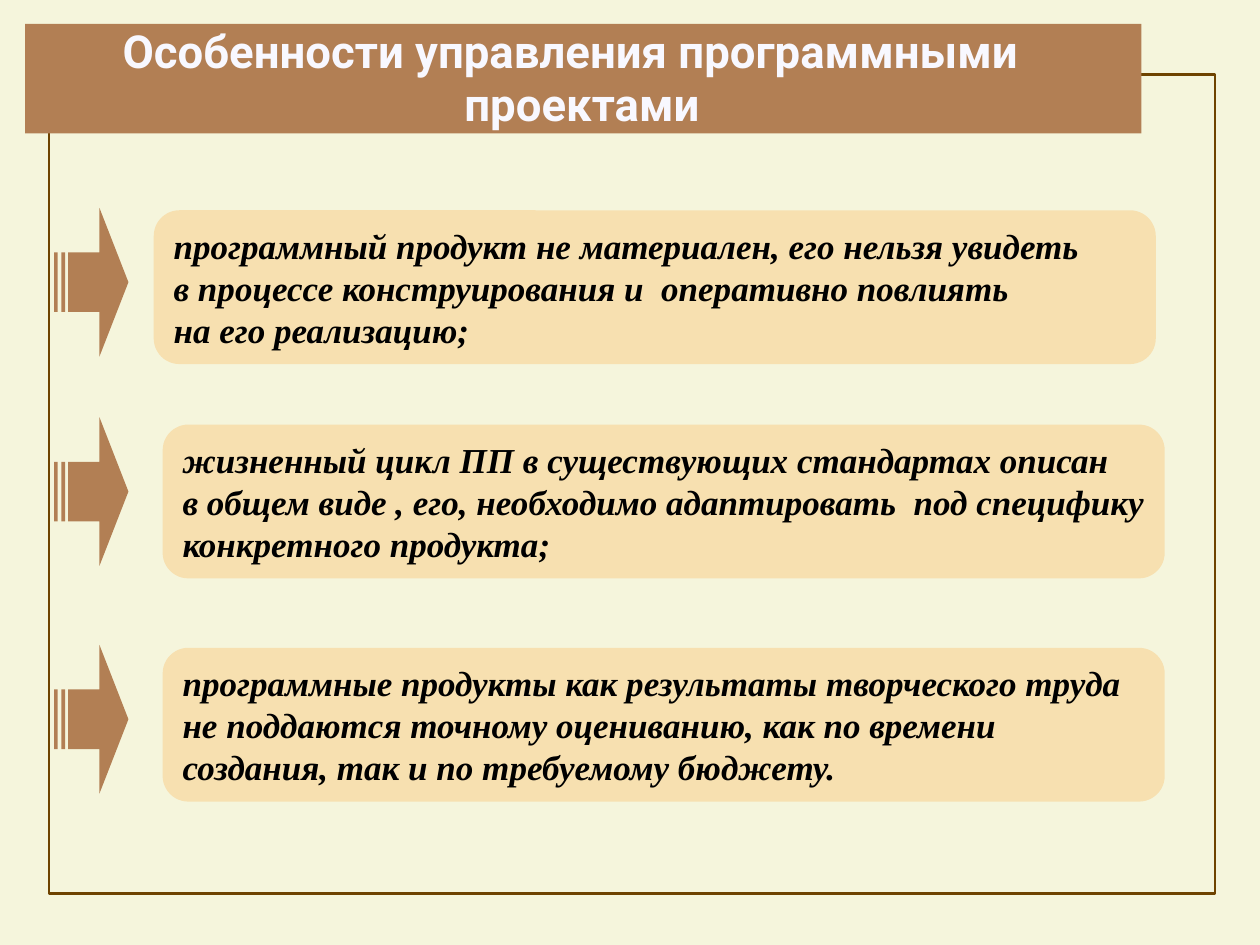
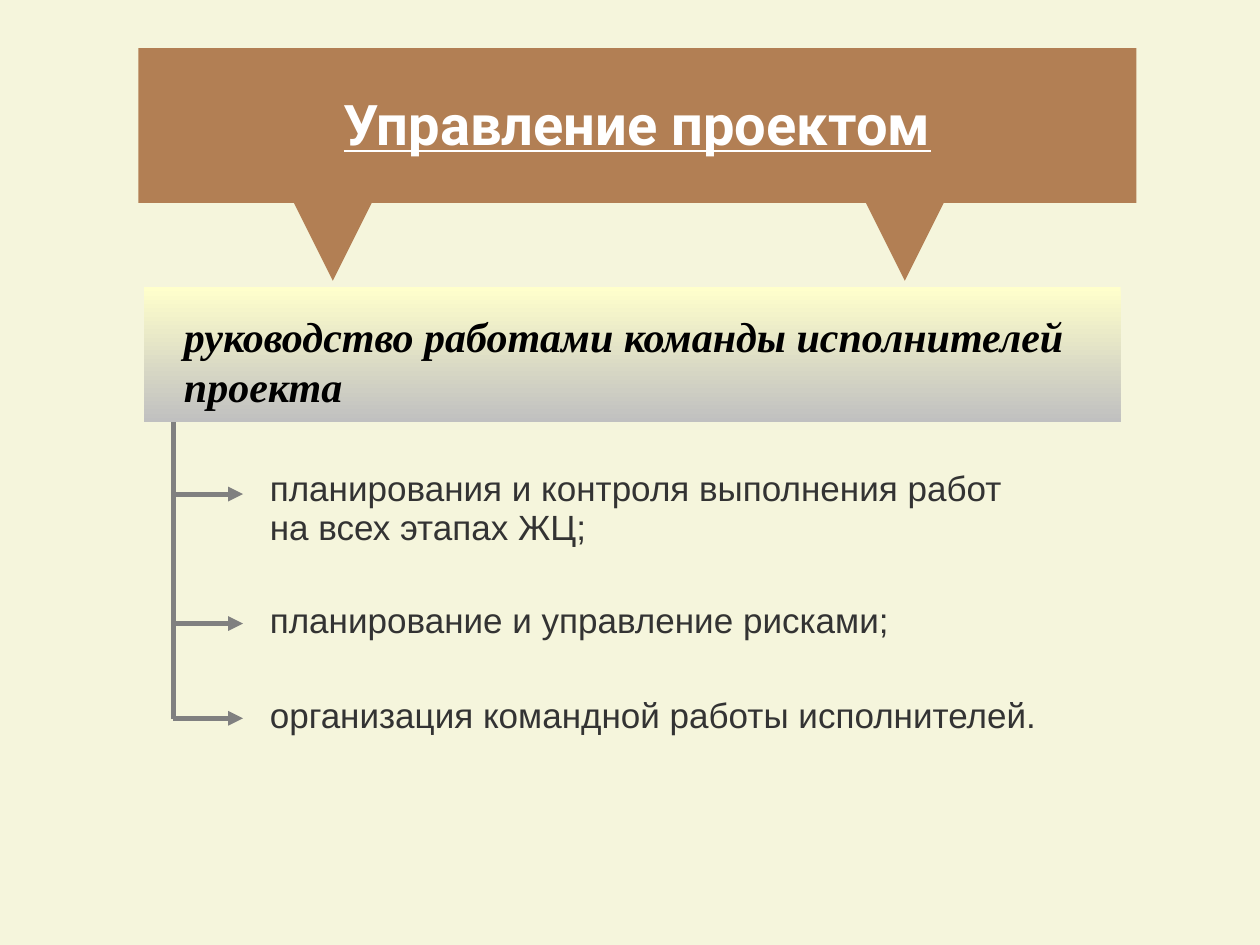
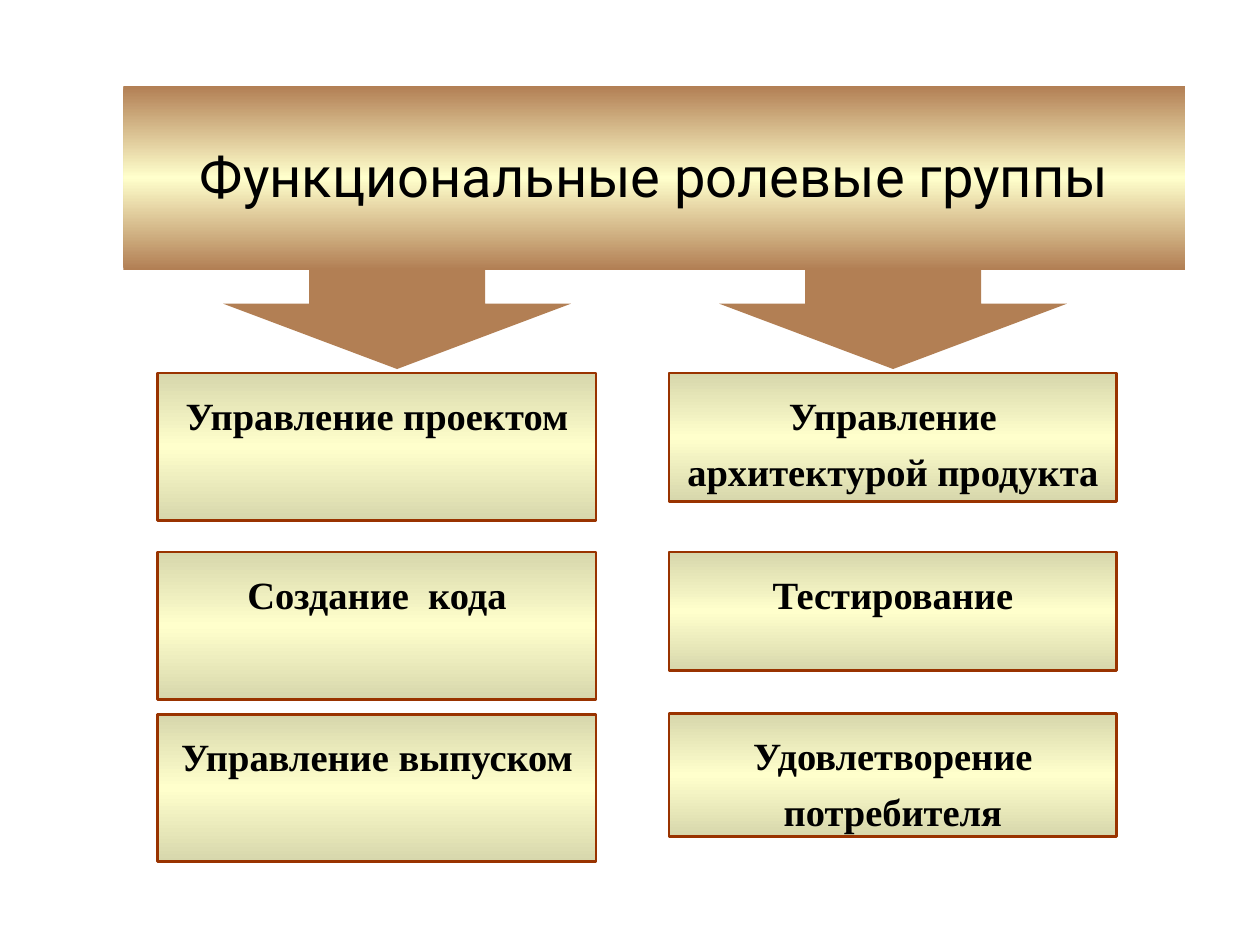
from dataclasses import dataclass

import pptx
import pptx.dml.color
import pptx.enum.shapes
import pptx.enum.text
import pptx.oxml
import pptx.oxml.ns
import pptx.util
from pptx.util import Cm

PRESET = pptx.enum.shapes.MSO_SHAPE
ALIGN = pptx.enum.text.PP_ALIGN
ANCHOR = pptx.enum.text.MSO_ANCHOR


@dataclass(frozen=True)
class Theme:
    beige: str = "F5F5DC"
    white: str = "FFFFFF"
    ghost: str = "F8F8FF"
    black: str = "000000"
    dark: str = "333333"
    gray: str = "808080"
    silver: str = "C0C0C0"
    brown: str = "B27F54"
    frame: str = "6E4300"
    sand: str = "F7E0B0"
    cream: str = "FFFFCC"
    olive: str = "D7D7AC"
    rust: str = "993300"
    heading_font: str = "Roboto"
    serif_font: str = "Times New Roman"
    body_font: str = "Arial"
    title_size: int = 32
    long_title_size: int = 26
    lead_size: int = 24
    role_size: int = 22
    body_size: int = 20


THEME = Theme()


@dataclass(frozen=True)
class Box:
    """A rectangle in centimetres."""
    left: float
    top: float
    width: float
    height: float

    @property
    def right(self):
        return self.left + self.width

    @property
    def bottom(self):
        return self.top + self.height

    def lengths(self):
        return Cm(self.left), Cm(self.top), Cm(self.width), Cm(self.height)


@dataclass(frozen=True)
class Style:
    """Character and paragraph look of one kind of text."""
    font: str
    size: int
    color: str
    bold: bool = False
    italic: bool = False
    underline: bool = False
    align: ALIGN = ALIGN.LEFT
    spacing: float = 1.0
    gap: float = 0


TITLE = Style(THEME.heading_font, THEME.title_size, THEME.white, bold=True,
              underline=True, align=ALIGN.CENTER, spacing=0.97)
LONG_TITLE = Style(THEME.heading_font, THEME.long_title_size, THEME.ghost,
                   bold=True, align=ALIGN.CENTER, spacing=0.97)
PLAIN_TITLE = Style(THEME.heading_font, THEME.title_size, THEME.black,
                    align=ALIGN.CENTER, spacing=0.97)
FEATURE = Style(THEME.serif_font, THEME.body_size, THEME.black, bold=True, italic=True)
LEAD = Style(THEME.serif_font, THEME.lead_size, THEME.black, bold=True,
             italic=True, spacing=0.93, gap=2)
TASK = Style(THEME.body_font, THEME.body_size, THEME.dark, spacing=0.93)
ROLE = Style(THEME.serif_font, THEME.role_size, THEME.black, bold=True,
             align=ALIGN.CENTER, spacing=1.2)


def rgb(color):
    return pptx.dml.color.RGBColor.from_string(color)


def set_gradient(shape, colors):
    """Fill from top to bottom with evenly spaced colours."""
    shape.fill.gradient()
    shape.fill.gradient_angle = 270
    stops = shape._element.spPr.find(".//" + pptx.oxml.ns.qn("a:gsLst"))
    for stop in list(stops):
        stops.remove(stop)
    for index, color in enumerate(colors):
        position = round(100000 * index / (len(colors) - 1))
        stops.append(pptx.oxml.parse_xml(
            f'<a:gs {pptx.oxml.ns.nsdecls("a")} pos="{position}">'
            f'<a:srgbClr val="{color}"/></a:gs>'))


def paint(shape, fill=None, line=None, line_width=1.5):
    """Set fill (none, one colour or a tuple for a gradient) and outline."""
    shape.shadow.inherit = False
    if fill is None:
        shape.fill.background()
    elif isinstance(fill, tuple):
        set_gradient(shape, fill)
    else:
        shape.fill.solid()
        shape.fill.fore_color.rgb = rgb(fill)
    if line is None:
        shape.line.fill.background()
    else:
        shape.line.color.rgb = rgb(line)
        shape.line.width = pptx.util.Pt(line_width)


def add_block(slide, preset, box, **look):
    shape = slide.shapes.add_shape(preset, *box.lengths())
    paint(shape, **look)
    return shape


def write(shape, lines, style, insets=(0, 0, 0, 0), anchor=ANCHOR.MIDDLE):
    """Write one paragraph per line; insets are left, top, right, bottom in cm."""
    frame = shape.text_frame
    frame.word_wrap = True
    frame.auto_size = pptx.enum.text.MSO_AUTO_SIZE.NONE
    frame.vertical_anchor = anchor
    (frame.margin_left, frame.margin_top,
     frame.margin_right, frame.margin_bottom) = map(Cm, insets)
    for index, line in enumerate(lines):
        paragraph = frame.add_paragraph() if index else frame.paragraphs[0]
        paragraph.alignment = style.align
        paragraph.line_spacing = style.spacing
        if index and style.gap:
            paragraph.space_before = pptx.util.Pt(style.gap)
        run = paragraph.add_run()
        run.text = line
        font = run.font
        font.name = style.font
        font.size = pptx.util.Pt(style.size)
        font.color.rgb = rgb(style.color)
        font.bold = style.bold
        font.italic = style.italic
        font.underline = style.underline


def add_line(slide, start, end, color, width, arrow=False):
    connector = slide.shapes.add_connector(
        pptx.enum.shapes.MSO_CONNECTOR.STRAIGHT, *map(Cm, start + end))
    connector.line.color.rgb = rgb(color)
    connector.line.width = pptx.util.Pt(width)
    namespace = pptx.oxml.ns.nsdecls("a")
    if arrow:
        connector.line._get_or_add_ln().append(
            pptx.oxml.parse_xml(f'<a:tailEnd {namespace} type="triangle"/>'))
    connector._element.spPr.append(pptx.oxml.parse_xml(f"<a:effectLst {namespace}/>"))


def add_title(slide, box, lines, style, fill=THEME.brown):
    title = add_block(slide, PRESET.RECTANGLE, box, fill=fill)
    write(title, lines, style, (0.08, 0.1, 0.08, 0.08))
    return title


def add_slide(presentation, background):
    slide = presentation.slides.add_slide(presentation.slide_layouts[6])
    slide.background.fill.solid()
    slide.background.fill.fore_color.rgb = rgb(background)
    return slide


def add_striped_arrow(slide, box):
    def point(x, y):
        return Cm(box.left + x * box.width), Cm(box.top + y * box.height)

    shaft_top, shaft_bottom, head = 0.3, 0.7, 0.61
    outline = [(head, 0), (1, 0.5), (head, 1), (head, shaft_bottom),
               (0.19, shaft_bottom), (0.19, shaft_top), (head, shaft_top)]
    stripes = [[(left, shaft_top), (left, shaft_bottom),
                (right, shaft_bottom), (right, shaft_top)]
               for left, right in ((0, 0.05), (0.1, 0.15))]
    builder = slide.shapes.build_freeform(*point(*outline[0]), scale=1.0)
    builder.add_line_segments([point(*corner) for corner in outline[1:]], close=True)
    for stripe in stripes:
        builder.move_to(*point(*stripe[0]))
        builder.add_line_segments([point(*corner) for corner in stripe[1:]], close=True)
    paint(builder.convert_to_shape(), fill=THEME.brown)


def add_feature(slide, box, arrow_top, lines):
    card = add_block(slide, PRESET.ROUNDED_RECTANGLE, box, fill=THEME.sand)
    card.adjustments[0] = 0.167
    write(card, lines, FEATURE, (0.25, 0.13, 0.25, 0.13))
    add_striped_arrow(slide, Box(1.09, arrow_top, 1.5, 3))


def build_features_slide(presentation):
    slide = add_slide(presentation, THEME.beige)
    add_block(slide, PRESET.RECTANGLE, Box(0.99, 1.5, 23.5, 16.51),
              line=THEME.frame, line_width=1.42)
    title = add_title(slide, Box(0.51, 0.48, 22.5, 2.21),
                      ["Особенности управления программными", "проектами"], LONG_TITLE)
    first, second = title.text_frame.paragraphs
    first._p.get_or_add_pPr().set("marR", str(Cm(0.5)))
    second._p.get_or_add_pPr().set("marL", str(Cm(0.45)))
    features = [
        (3.1, 4.24, 4.19, ["программный продукт не материален, его нельзя увидеть",
                           "в процессе конструирования и  оперативно повлиять",
                           "на его реализацию;"]),
        (3.28, 8.56, 8.41, ["жизненный цикл ПП в существующих стандартах описан",
                            "в общем виде , его, необходимо адаптировать  под специфику "
                            "конкретного продукта;"]),
        (3.28, 13.06, 13, ["программные продукты как результаты творческого труда",
                           "не поддаются точному оцениванию, как по времени создания, "
                           "так и по требуемому бюджету."]),
    ]
    for left, top, arrow_top, lines in features:
        add_feature(slide, Box(left, top, 20.2, 3.1), arrow_top, lines)


def add_task_tree(slide, box, tasks):
    """Draw a trunk along the left of the box with an arrow to each task."""
    add_line(slide, (box.left, box.top), (box.left, box.bottom), THEME.gray, 2.83)
    for text_top, arrow_y, lines in tasks:
        add_line(slide, (box.left, arrow_y), (box.left + 1.41, arrow_y),
                 THEME.gray, 2.83, arrow=True)
        text_left = box.left + 1.95
        label = slide.shapes.add_textbox(
            *Box(text_left, text_top, box.right - text_left, 1.88).lengths())
        write(label, lines, TASK, (0, 0.05, 0, 0))


def build_management_slide(presentation):
    slide = add_slide(presentation, THEME.beige)
    title_box = Box(2.79, 0.97, 20.12, 3.12)
    add_title(slide, title_box, ["Управление проектом"], TITLE)
    for x in (6.71, 18.24):
        add_line(slide, (x, title_box.bottom), (x, 5.66), THEME.brown, 17, arrow=True)
    lead_box = Box(2.9, 5.79, 19.69, 2.72)
    add_task_tree(slide, Box(3.49, lead_box.bottom, 19.02, 5.98), [
        (9.3, 9.96, ["планирования и контроля выполнения работ", "на всех этапах ЖЦ;"]),
        (11.58, 12.57, ["планирование и управление рисками;"]),
        (13.49, 14.48, ["организация командной работы исполнителей."]),
    ])
    lead = add_block(slide, PRESET.RECTANGLE, lead_box, fill=(THEME.cream, THEME.silver))
    write(lead, ["руководство работами команды исполнителей", "проекта"], LEAD,
          (0.81, 0.36, 0, 0))


def add_role_column(slide, left, width, arrow_left, roles):
    arrow = add_block(slide, PRESET.DOWN_ARROW, Box(arrow_left, 5.13, 7.01, 2.31),
                      fill=THEME.brown)
    arrow.adjustments[0], arrow.adjustments[1] = 0.506, 0.57
    for top, height, name in roles:
        card = add_block(slide, PRESET.RECTANGLE, Box(left, top, width, height),
                         fill=(THEME.olive, THEME.cream, THEME.olive), line=THEME.rust)
        write(card, [name], ROLE, (0.25, 0.2, 0.25, 0.13), ANCHOR.TOP)


def build_roles_slide(presentation):
    slide = add_slide(presentation, THEME.white)
    add_role_column(slide, 3.18, 8.84, 4.5, [
        (7.52, 2.97, "Управление проектом"),
        (11.13, 2.97, "Создание  кода"),
        (14.4, 2.97, "Управление выпуском"),
    ])
    add_role_column(slide, 13.49, 9.02, 14.5, [
        (7.52, 2.59, "Управление архитектурой продукта"),
        (11.13, 2.39, "Тестирование"),
        (14.38, 2.49, "Удовлетворение потребителя"),
    ])
    add_title(slide, Box(2.49, 1.73, 21.41, 3.71), ["Функциональные ролевые группы"],
              PLAIN_TITLE, fill=(THEME.brown, THEME.cream, THEME.brown))


def main():
    presentation = pptx.Presentation()
    presentation.slide_width, presentation.slide_height = Cm(25.4), Cm(19.05)
    build_features_slide(presentation)
    build_management_slide(presentation)
    build_roles_slide(presentation)
    presentation.save("out.pptx")


if __name__ == "__main__":
    main()
